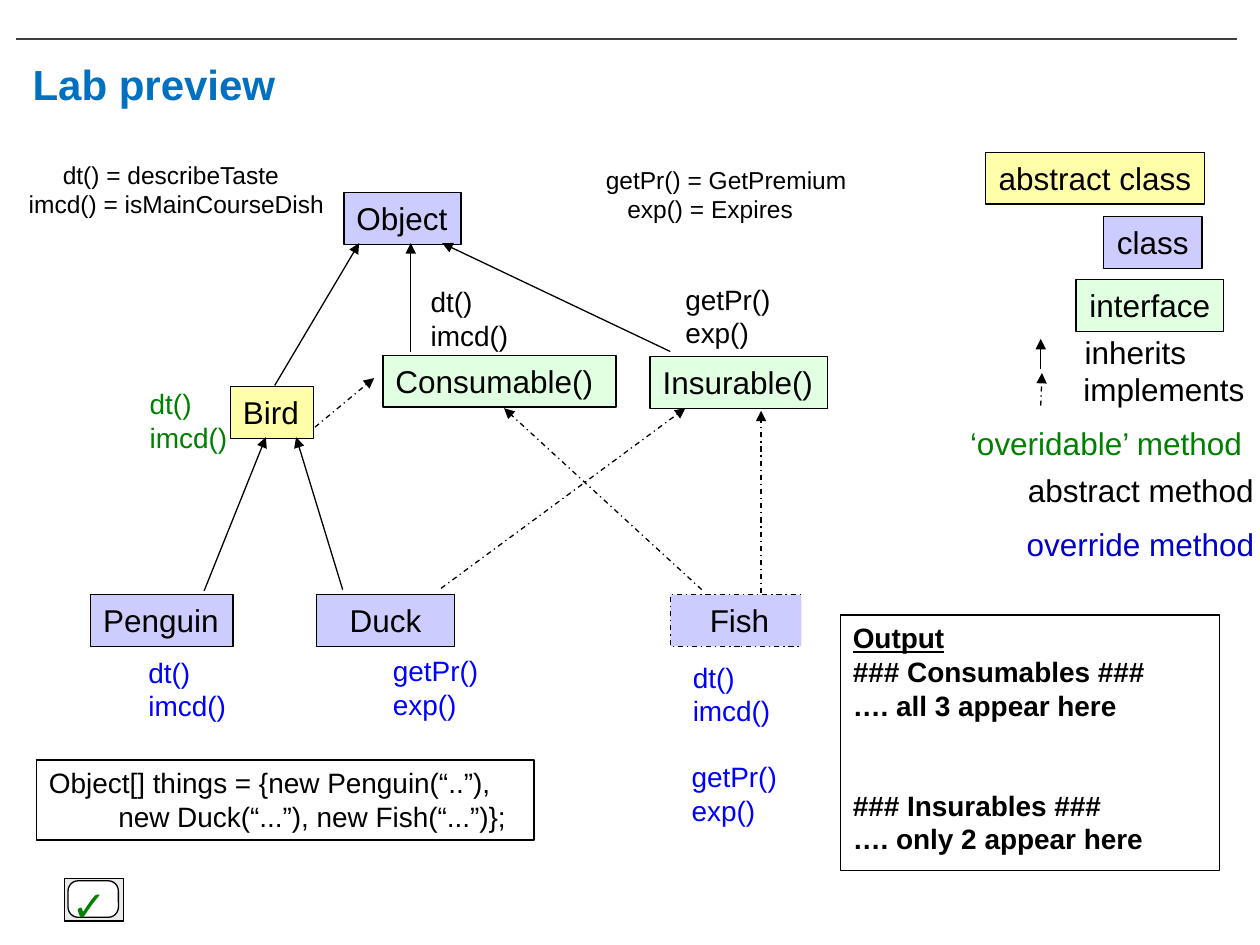
from dataclasses import dataclass

import lxml.etree
import pptx
import pptx.dml.color
import pptx.enum.dml
import pptx.enum.shapes
import pptx.enum.text
import pptx.oxml.ns
import pptx.util

Inches, Pt = pptx.util.Inches, pptx.util.Pt
ALIGN = pptx.enum.text.PP_ALIGN
ANCHOR = pptx.enum.text.MSO_ANCHOR
SHAPE = pptx.enum.shapes.MSO_SHAPE
DASH_DOT = pptx.enum.dml.MSO_LINE.DASH_DOT

BLACK, WHITE, BLUE, RULE_GREY = "000000", "FFFFFF", "0000FF", "404040"
TITLE_BLUE, GREEN, NAVY = "0070C0", "008000", "0000C8"
ABSTRACT, CLASS, INTERFACE = "FFFFAA", "CCCCFF", "E1FFE1"


@dataclass
class Node:
    """A filled box for a type."""
    name: str
    left: float
    top: float
    width: float
    fill: str
    centred: bool = False
    wrap: bool = False
    dashed: bool = False


@dataclass
class Label:
    """Free text, one paragraph per line."""
    text: str
    left: float
    top: float
    width: float
    height: float
    size: int = 16
    colour: str = BLACK
    bold: bool = False


@dataclass
class Arrow:
    """An arrow from a subtype to its supertype."""
    x1: float
    y1: float
    x2: float
    y2: float
    dashed: bool = False


NODES = [
    Node("abstract class", 7.82, 1.21, 1.74, ABSTRACT, centred=True),
    Node("class", 8.76, 1.72, 0.78, CLASS, centred=True),
    Node("interface", 8.54, 2.22, 1.17, INTERFACE, centred=True),
    Node("Object", 2.73, 1.53, 0.93, CLASS),
    Node("Bird", 1.83, 3.07, 0.66, ABSTRACT),
    Node("Consumable()", 3.04, 2.82, 1.85, INTERFACE, wrap=True),
    Node("Insurable()", 5.16, 2.83, 1.41, INTERFACE),
    Node("Penguin", 0.72, 4.72, 1.13, CLASS),
    Node("Duck", 2.51, 4.72, 1.1, CLASS, centred=True, wrap=True),
    Node("Fish", 5.32, 4.72, 1.1, CLASS, centred=True, wrap=True, dashed=True),
]

ARROWS = [
    Arrow(8.26, 2.93, 8.26, 2.69),
    Arrow(8.26, 3.22, 8.27, 2.96, True),
    Arrow(2.18, 3.06, 2.85, 1.93),
    Arrow(3.26, 2.79, 3.26, 1.93),
    Arrow(5.32, 2.79, 3.51, 1.93),
    Arrow(2.5, 3.39, 2.97, 3.0, True),
    Arrow(1.62, 4.69, 2.11, 3.47),
    Arrow(2.72, 4.68, 2.35, 3.47),
    Arrow(3.5, 4.67, 5.44, 3.24, True),
    Arrow(5.57, 4.68, 4.0, 3.24, True),
    Arrow(6.04, 4.71, 6.04, 3.26, True),
]

LEGEND = [
    Label("inherits", 8.51, 2.59, 1.01, 0.4, 18),
    Label("implements", 8.5, 2.89, 1.48, 0.4, 18),
    Label("‘overidable’ method", 7.6, 3.32, 2.45, 0.4, 18, GREEN),
    Label("abstract method", 8.06, 3.69, 1.99, 0.4, 18),
    Label("override method", 8.05, 4.12, 2.01, 0.4, 18, NAVY),
]

TASTE, INSURANCE = "dt()\nimcd()", "getPr()\nexp()"
METHODS = [
    Label(TASTE, 3.32, 2.21, 0.83, 0.64),
    Label(INSURANCE, 5.34, 2.19, 0.89, 0.64),
    Label(TASTE, 1.09, 3.02, 0.83, 0.64, colour=GREEN),
    Label(TASTE, 1.08, 5.15, 0.83, 0.64, colour=BLUE),
    Label(INSURANCE, 3.02, 5.14, 0.89, 0.64, colour=BLUE),
    Label(TASTE, 5.4, 5.19, 0.83, 0.64, colour=BLUE),
    Label(INSURANCE, 5.39, 5.98, 0.89, 0.64, colour=BLUE),
]


def rgb(colour: str) -> pptx.dml.color.RGBColor:
    """Turn a hex string into a colour."""
    return pptx.dml.color.RGBColor.from_string(colour)


def write(box, text: str, size: int, colour: str = BLACK, bold: bool = False,
          centred: bool = False, wrap: bool = False, anchor=ANCHOR.TOP) -> list:
    """Write the lines of text into a box and return its paragraphs."""
    frame = box.text_frame
    frame.text = text
    frame.word_wrap = wrap
    frame.vertical_anchor = anchor
    for para in frame.paragraphs:
        para.alignment = ALIGN.CENTER if centred else ALIGN.LEFT
        font = para.font
        font.name, font.size, font.bold = "Arial", Pt(size), bold
        font.color.rgb = rgb(colour)
    return list(frame.paragraphs)


def indent(para, inches: float) -> None:
    """Set the left margin of a paragraph."""
    properties = para._p.get_or_add_pPr()
    properties.set("marL", str(Inches(inches)))
    properties.set("indent", "0")


def add_box(page, left: float, top: float, width: float, height: float,
            fill: str = WHITE, weight: float = 0.75, kind=SHAPE.RECTANGLE):
    """Add a filled box; a weight of zero leaves out its outline."""
    box = page.shapes.add_shape(kind, Inches(left), Inches(top), Inches(width), Inches(height))
    box.shadow.inherit = False
    box.fill.solid()
    box.fill.fore_color.rgb = rgb(fill)
    if weight:
        box.line.color.rgb = rgb(BLACK)
        box.line.width = Pt(weight)
    else:
        box.line.fill.background()
    return box


def add_label(page, label: Label, wrap: bool = False, anchor=ANCHOR.TOP) -> list:
    """Add free text and return its paragraphs."""
    box = page.shapes.add_textbox(Inches(label.left), Inches(label.top),
                                  Inches(label.width), Inches(label.height))
    return write(box, label.text, label.size, label.colour, label.bold, wrap=wrap, anchor=anchor)


def add_node(page, node: Node) -> None:
    """Add the box of a type."""
    box = add_box(page, node.left, node.top, node.width, 0.41, node.fill)
    if node.dashed:
        box.line.dash_style = DASH_DOT
    write(box, node.name, 18, centred=node.centred, wrap=node.wrap)


def add_line(page, arrow: Arrow, colour: str = BLACK, head: bool = True) -> None:
    """Add a straight line, with an arrowhead at its end if wanted."""
    line = page.shapes.add_connector(
        pptx.enum.shapes.MSO_CONNECTOR.STRAIGHT, Inches(arrow.x1), Inches(arrow.y1),
        Inches(arrow.x2), Inches(arrow.y2))
    line.line.color.rgb = rgb(colour)
    line.line.width = Pt(0.75)
    if arrow.dashed:
        line.line.dash_style = DASH_DOT
    if head:
        outline = line.line._get_or_add_ln()
        lxml.etree.SubElement(outline, pptx.oxml.ns.qn("a:tailEnd"), type="triangle")
    lxml.etree.SubElement(line._element.spPr, pptx.oxml.ns.qn("a:effectLst"))


deck = pptx.Presentation()
deck.slide_width, deck.slide_height = Inches(10), Inches(7.5)
page = deck.slides.add_slide(deck.slide_layouts[6])

add_line(page, Arrow(0.13, 0.31, 9.82, 0.31), RULE_GREY, head=False)
add_label(page, Label("Lab preview", 0.16, 0.39, 9.61, 0.55, 24, TITLE_BLUE, True),
          wrap=True, anchor=ANCHOR.MIDDLE)

for node in NODES:
    add_node(page, node)
for arrow in ARROWS:
    add_line(page, arrow)
for label in LEGEND + METHODS:
    add_label(page, label)

taste_note = add_label(page, Label("dt() = describeTaste\nimcd() = isMainCourseDish",
                                   0.13, 1.22, 2.56, 0.57, 14))
indent(taste_note[0], 0.27)
premium_note = add_label(page, Label("getPr() = GetPremium\nexp() = Expires",
                                     4.66, 1.26, 2.18, 0.57, 14))
indent(premium_note[0], 0.05)
indent(premium_note[1], 0.22)

add_box(page, 6.36, 4.7, 3.44, 2.46, weight=0)
output = write(add_box(page, 6.67, 4.88, 3.01, 2.03, weight=1),
               "Output\n### Consumables ###\n…. all 3 appear here\n"
               "### Insurables ###\n…. only 2 appear here", 16, bold=True, wrap=True)
output[0].font.underline = True
output[3].space_before = Pt(38)

code = write(add_box(page, 0.29, 6.03, 3.95, 0.64, weight=1),
             "Object[] things = {new Penguin(“..”),\nnew Duck(“...”), new Fish(“...”)};",
             16, wrap=True)
indent(code[1], 0.55)

add_box(page, 0.51, 6.97, 0.47, 0.34, "EAEAEA")
button = add_box(page, 0.54, 6.99, 0.4, 0.29, kind=SHAPE.ROUNDED_RECTANGLE)
button.adjustments[0] = 0.28
add_label(page, Label("✓", 0.47, 6.93, 0.46, 0.5, 24, GREEN, True))

deck.save("out.pptx")
